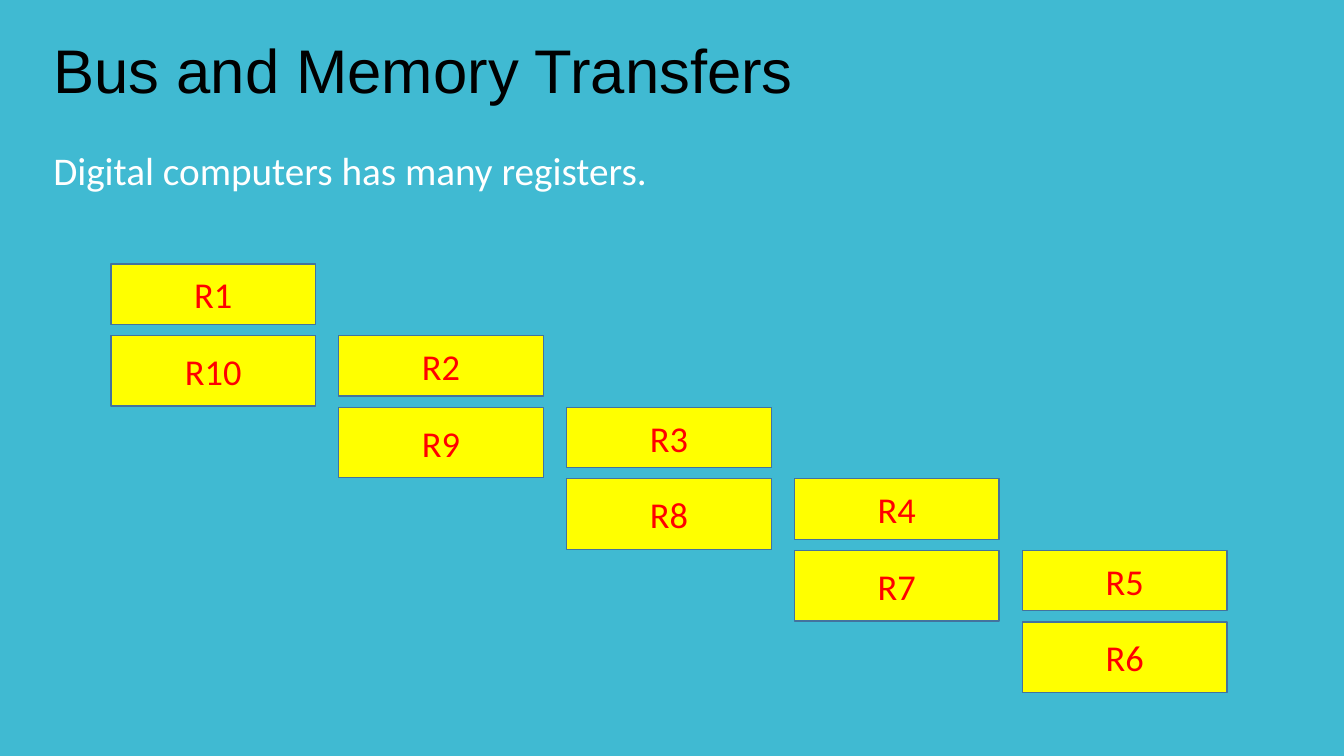
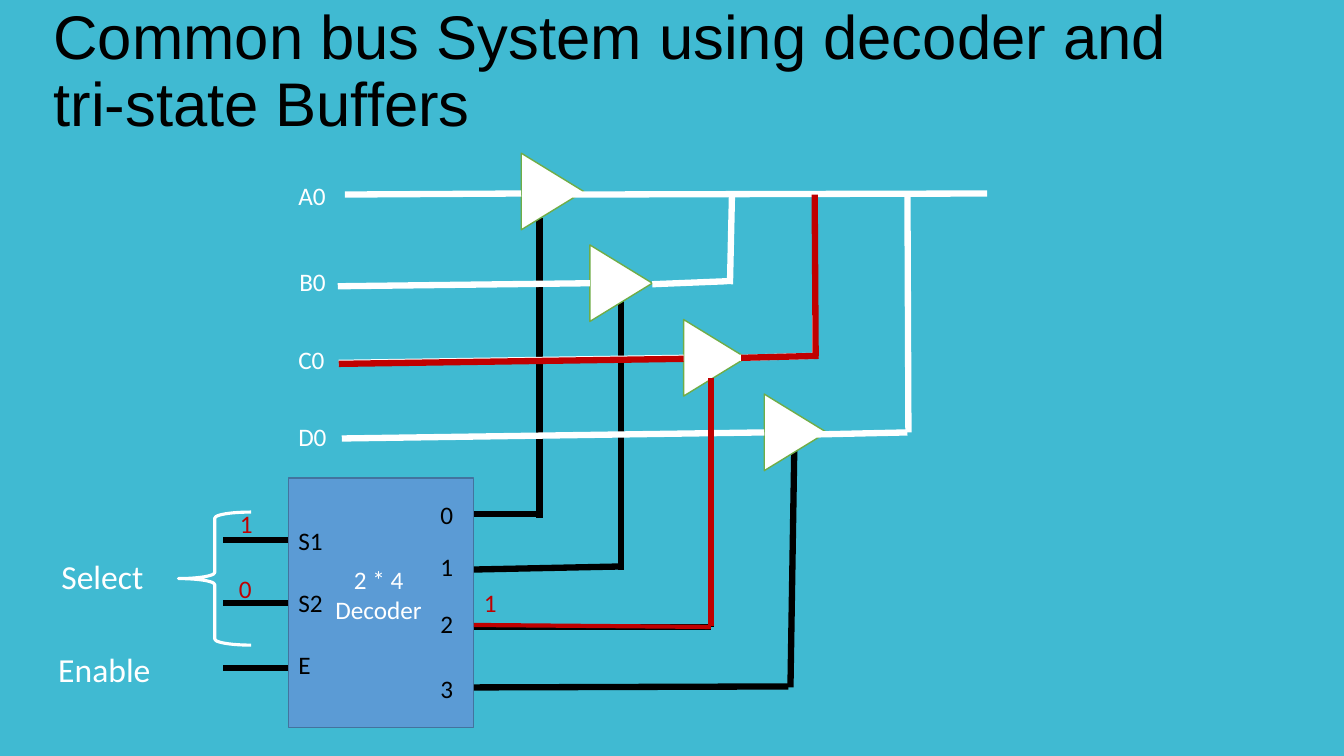
from dataclasses import dataclass

from lxml.etree import SubElement
from pptx import Presentation
from pptx.dml.color import RGBColor as RGB
from pptx.enum.shapes import MSO_CONNECTOR as LINK, MSO_SHAPE as SHAPE
from pptx.enum.text import MSO_ANCHOR as ANCHOR, MSO_AUTO_SIZE as FIT, PP_ALIGN as ALIGN
from pptx.oxml.ns import qn
from pptx.util import Emu, Pt

EMU_PER_PX = 9144  # 100 px to the inch
TITLE_ONLY = 5


@dataclass(frozen=True)
class Theme:
    background: RGB = RGB.from_string("40BAD2")
    black: RGB = RGB.from_string("000000")
    white: RGB = RGB.from_string("FFFFFF")
    active: RGB = RGB.from_string("C00000")
    register: RGB = RGB.from_string("FFFF00")
    register_text: RGB = RGB.from_string("FF0000")
    decoder: RGB = RGB.from_string("5B9BD5")
    box_edge: RGB = RGB.from_string("43739E")
    buffer_edge: RGB = RGB.from_string("70AD47")
    title_font: str = "Arial"
    body_font: str = "Calibri"
    title_size: int = 44
    body_size: int = 28
    register_size: int = 26
    group_size: int = 24
    label_size: int = 18
    wire: float = 4.5
    thin_wire: float = 3
    brace: float = 2.25
    edge: float = 1


THEME = Theme()

BUFFERS = [(510, 159), (578, 250), (671, 324), (751, 398)]
SOURCES = [("A0", 286, 174), ("B0", 287, 259), ("C0", 286, 337), ("D0", 286, 413)]
SELECT_PINS = [("S1", 516, 536), ("S2", 578, 598), ("E", 639, 663)]
OUTPUT_PINS = [("0", 490), ("1", 542), ("2", 599), ("3", 663)]

# Each wire is x1, y1, x2, y2
CONTROL_WIRES = [
    (535, 510, 470, 510), (535, 216, 535, 514),
    (616, 562, 470, 565), (616, 293, 616, 565),
    (705, 622, 470, 622), (705, 376, 705, 622),
    (782, 681, 470, 682), (788, 432, 784, 682),
]
INPUT_WIRES = [
    (517, 192, 342, 193), (585, 281, 335, 284),
    (678, 355, 336, 360), (758, 429, 339, 435),
]
BUS_WIRES = [
    (979, 192, 568, 193), (721, 279, 647, 282),
    (808, 353, 734, 355), (900, 429, 810, 431),
    (726, 193, 724, 282), (808, 193, 808, 353), (900, 190, 901, 429),
]
ACTIVE_WIRES = [
    (705, 375, 705, 621), (678, 356, 336, 361),
    (812, 353, 735, 355), (808, 193, 809, 353),
]


def px(*lengths):
    return [Emu(length * EMU_PER_PX) for length in lengths]


def write(paragraph, text, size, color, font=THEME.body_font, align=ALIGN.LEFT):
    paragraph.alignment = align
    run = paragraph.add_run()
    run.text = text
    run.font.name = font
    run.font.size = Pt(size)
    run.font.color.rgb = color


def add_titled_slide(deck, heading):
    slide = deck.slides.add_slide(deck.slide_layouts[TITLE_ONLY])
    title = slide.shapes.title
    title.left, title.top, title.width, title.height = px(43, 0, 1150, 145)
    frame = title.text_frame
    frame.auto_size = FIT.NONE
    frame.vertical_anchor = ANCHOR.MIDDLE
    paragraph = frame.paragraphs[0]
    paragraph.line_spacing = 0.9
    write(paragraph, heading, THEME.title_size, THEME.black, THEME.title_font)
    return slide


def add_label(slide, lines, box, color, size=THEME.label_size, align=ALIGN.LEFT):
    """Add a text box with one paragraph per line and return its paragraphs."""
    frame = slide.shapes.add_textbox(*px(*box)).text_frame
    frame.word_wrap = True
    for index, line in enumerate(lines):
        paragraph = frame.add_paragraph() if index else frame.paragraphs[0]
        write(paragraph, line, size, color, align=align)
    return frame.paragraphs


def add_pin_label(slide, text, left, top, color):
    add_label(slide, [text], (left, top, 49, 40), color)


def add_figure(slide, kind, box, fill, edge, weight=THEME.edge):
    figure = slide.shapes.add_shape(kind, *px(*box))
    figure.shadow.inherit = False
    if fill is None:
        figure.fill.background()
    else:
        figure.fill.solid()
        figure.fill.fore_color.rgb = fill
    figure.line.color.rgb = edge
    figure.line.width = Pt(weight)
    return figure


def add_register(slide, name, box):
    register = add_figure(slide, SHAPE.RECTANGLE, box, THEME.register, THEME.box_edge)
    frame = register.text_frame
    frame.vertical_anchor = ANCHOR.MIDDLE
    write(frame.paragraphs[0], name, THEME.register_size, THEME.register_text,
          align=ALIGN.CENTER)


def add_wire(slide, ends, color, weight=THEME.wire):
    wire = slide.shapes.add_connector(LINK.STRAIGHT, *px(*ends))
    wire.line.color.rgb = color
    wire.line.width = Pt(weight)
    SubElement(wire.line._get_or_add_ln().getparent(), qn("a:effectLst"))
    return wire


def add_wires(slide, wires, color):
    for ends in wires:
        add_wire(slide, ends, color)


def build_registers(deck):
    slide = add_titled_slide(deck, "Bus and Memory Transfers")
    sentence = add_label(slide, ["Digital computers has many registers."],
                         (43, 117, 1229, 85), THEME.white, THEME.body_size, ALIGN.JUSTIFY)
    sentence[0].line_spacing = 1.5
    for step in range(5):
        left, top = 110 + 226 * step, 262 + 71 * step
        add_register(slide, f"R{step + 1}", (left, top, 203, 60))
        add_register(slide, f"R{10 - step}", (left, top + 71, 203, 70))


def add_decoder(slide):
    decoder = add_figure(slide, SHAPE.RECTANGLE, (286, 474, 184, 248),
                         THEME.decoder, THEME.box_edge)
    for name, label_top, wire_y in SELECT_PINS:
        add_pin_label(slide, name, 286, label_top, THEME.black)
        wire = add_wire(slide, (286, wire_y, 221, wire_y), THEME.black)
        if name == "S2":
            wire.begin_connect(decoder, 1)
    for name, label_top in OUTPUT_PINS:
        add_pin_label(slide, name, 427, label_top, THEME.black)
    add_label(slide, ["2 * 4", "Decoder"], (318, 555, 115, 71), THEME.white,
              align=ALIGN.CENTER)


def build_bus_system(deck):
    slide = add_titled_slide(deck, "Common bus System using decoder and tri-state Buffers")
    add_decoder(slide)
    add_wires(slide, CONTROL_WIRES, THEME.black)

    for left, top in BUFFERS:
        triangle = add_figure(slide, SHAPE.ISOSCELES_TRIANGLE, (left, top, 76, 62),
                              THEME.white, THEME.buffer_edge)
        triangle.rotation = 90
    add_wires(slide, INPUT_WIRES + BUS_WIRES, THEME.white)
    for name, left, top in SOURCES:
        add_pin_label(slide, name, left, top, THEME.white)

    add_figure(slide, SHAPE.LEFT_BRACE, (177, 508, 72, 132), None, THEME.white, THEME.brace)
    for name, left, top in [("Select", 44, 547), ("Enable", 46, 639)]:
        add_label(slide, [name], (left, top, 115, 50), THEME.white,
                  THEME.group_size, ALIGN.CENTER)

    add_wire(slide, (470, 620, 705, 622), THEME.active, THEME.thin_wire)
    add_wires(slide, ACTIVE_WIRES, THEME.active)
    for bit, left, top in [("1", 228, 499), ("0", 227, 564), ("1", 470, 578)]:
        add_pin_label(slide, bit, left, top, THEME.active)


def main():
    deck = Presentation()
    deck.slide_width, deck.slide_height = px(1333, 750)
    backdrop = deck.slide_master.background.fill
    backdrop.solid()
    backdrop.fore_color.rgb = THEME.background
    build_registers(deck)
    build_bus_system(deck)
    deck.save("out.pptx")


if __name__ == "__main__":
    main()
